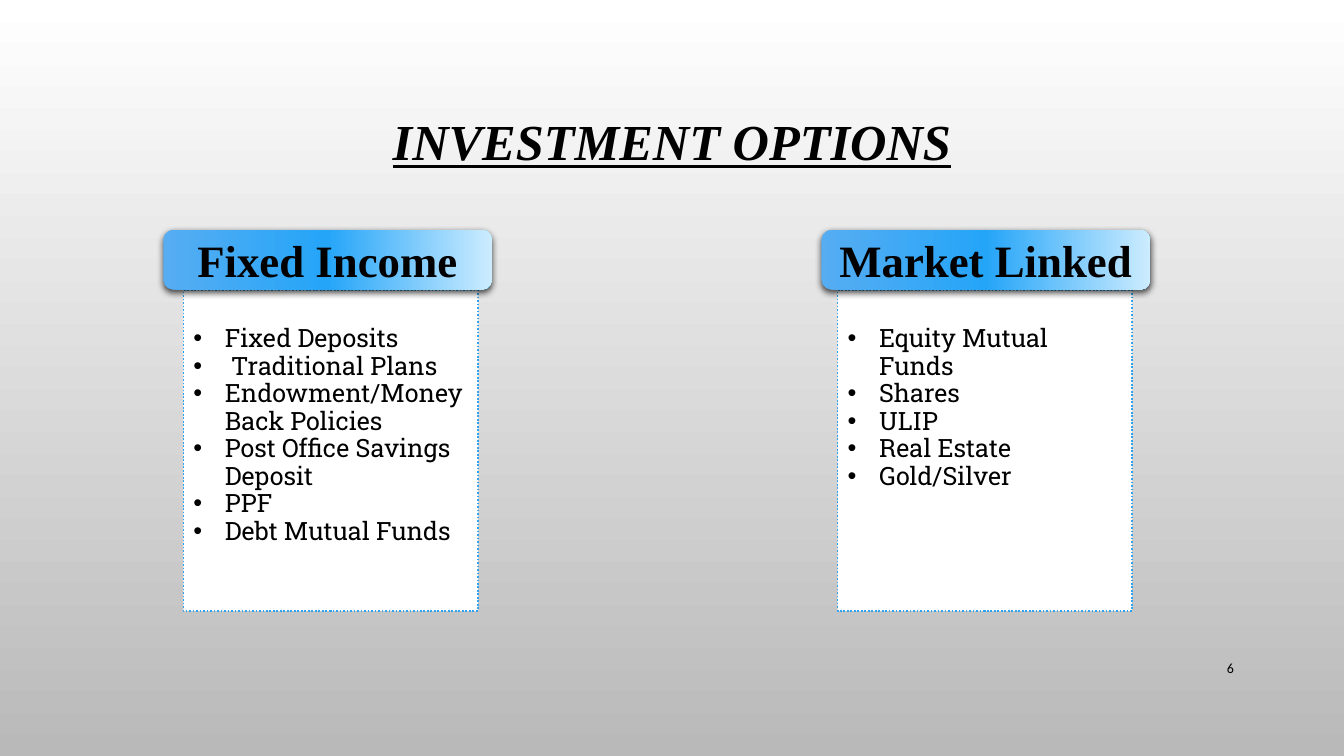
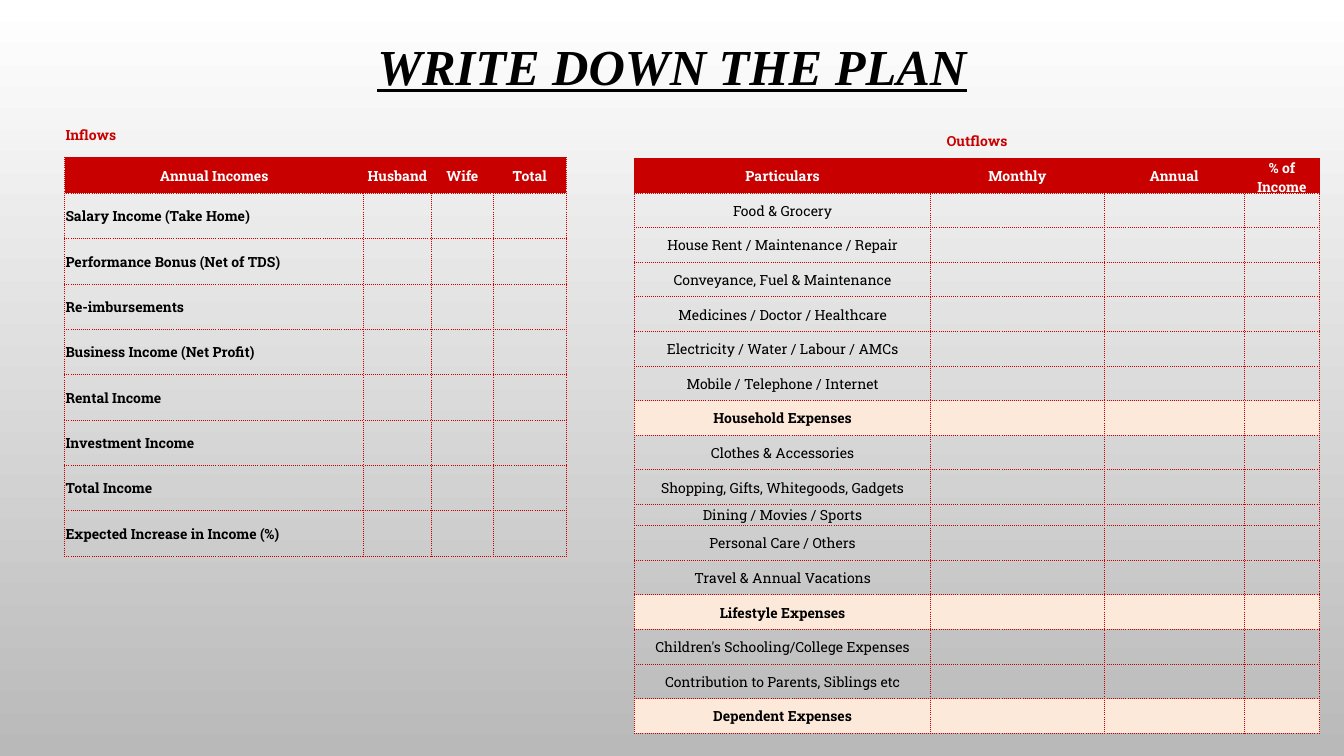
from copy import deepcopy

from lxml import etree
from pptx import Presentation
from pptx.dml.color import RGBColor
from pptx.enum.dml import MSO_LINE
from pptx.enum.shapes import MSO_SHAPE
from pptx.enum.text import MSO_ANCHOR, PP_ALIGN
from pptx.oxml.ns import qn
from pptx.util import Emu, Pt

SCALE = 3048
WIDE, HIGH = 4000, 2250
BLANK = 6

LEFT, CENTER, RIGHT = PP_ALIGN.LEFT, PP_ALIGN.CENTER, PP_ALIGN.RIGHT
TOP, MIDDLE = MSO_ANCHOR.TOP, MSO_ANCHOR.MIDDLE
RECT, ROUND = MSO_SHAPE.RECTANGLE, MSO_SHAPE.ROUNDED_RECTANGLE
DOTS = MSO_LINE.ROUND_DOT

BLACK = RGBColor(0x00, 0x00, 0x00)
WHITE = RGBColor(0xFF, 0xFF, 0xFF)
GREY = RGBColor(0xB9, 0xB9, 0xB9)
RED = RGBColor(0xC8, 0x00, 0x00)
PEACH = RGBColor(0xFD, 0xE9, 0xD9)
BLUE = RGBColor(0x2F, 0xA3, 0xEE)
BAND = [(0, RGBColor(0x56, 0xAD, 0xF2)), (0.5, RGBColor(0x25, 0xA5, 0xF8)),
        (1, RGBColor(0xCC, 0xEC, 0xFF))]

SERIF, SLAB, SANS = "Times New Roman", "Roboto Slab", "Calibri"

FIXED = ["Fixed Deposits", " Traditional Plans", "Endowment/Money Back Policies",
         "Post Office Savings Deposit", "PPF", "Debt Mutual Funds"]
MARKET = ["Equity Mutual Funds", "Shares", "ULIP", "Real Estate", "Gold/Silver"]

INCOME = ["Salary Income (Take Home)", "Performance Bonus (Net of TDS)",
          "Re-imbursements", "Business Income (Net Profit)", "Rental Income",
          "Investment Income", "Total Income", "Expected Increase in Income (%)"]
SPEND = ["Food & Grocery", "House Rent / Maintenance / Repair",
         "Conveyance, Fuel & Maintenance", "Medicines / Doctor / Healthcare",
         "Electricity / Water / Labour / AMCs", "Mobile / Telephone / Internet",
         "Household Expenses", "Clothes & Accessories",
         "Shopping, Gifts, Whitegoods, Gadgets", "Dining / Movies / Sports",
         "Personal Care / Others", "Travel & Annual Vacations",
         "Lifestyle Expenses", "Children's Schooling/College Expenses",
         "Contribution to Parents, Siblings etc", "Dependent Expenses"]
TOTALS = {"Household Expenses", "Lifestyle Expenses", "Dependent Expenses"}


def px(num):
    """Turn px into EMU."""
    return Emu(num * SCALE)


def write(para, text, size, font, color=BLACK, bold=False, align=LEFT):
    """Add one run to a paragraph and return it."""
    para.alignment = align
    run = para.add_run()
    run.text = text
    run.font.size = Pt(size)
    run.font.name = font
    run.font.bold = bold
    run.font.color.rgb = color
    return run


def label(slide, area, text, size, font, align, bold=False):
    """Add a text box with one centred line and return its run."""
    frame = slide.shapes.add_textbox(*map(px, area)).text_frame
    frame.word_wrap = True
    frame.vertical_anchor = MIDDLE
    return write(frame.paragraphs[0], text, size, font, bold=bold, align=align)


def title(slide, text, top, high):
    """Add the slide title."""
    run = label(slide, (300, top, WIDE - 600, high), text, 36, SERIF, CENTER, True)
    run.font.italic = True
    run.font.underline = True


def blend(fill, root, stops, angle):
    """Give a fill a gradient with the listed stops."""
    fill.gradient()
    fill.gradient_angle = angle
    marks = root.find(".//" + qn("a:gsLst"))
    for _ in stops[2:]:
        marks.insert(1, deepcopy(marks[0]))
    for mark, (place, color) in zip(fill.gradient_stops, stops):
        mark.position = place
        mark.color.rgb = color


def shade(shape):
    """Add a soft shadow below a shape."""
    shape.shadow.inherit = False
    effects = shape._element.spPr.find(qn("a:effectLst"))
    outer = etree.SubElement(effects, qn("a:outerShdw"), blurRad=str(Pt(5)),
                             dist=str(Pt(2)), dir="5400000", rotWithShape="0")
    color = etree.SubElement(outer, qn("a:srgbClr"), val=str(BLACK))
    etree.SubElement(color, qn("a:alpha"), val="69000")


def panel(slide, left, items):
    """Add a dotted white panel with a bullet list."""
    box = slide.shapes.add_shape(RECT, px(left), px(864), px(876), px(954))
    box.shadow.inherit = False
    box.fill.solid()
    box.fill.fore_color.rgb = WHITE
    box.line.color.rgb = BLUE
    box.line.width = Pt(1.25)
    box.line.dash_style = DOTS
    frame = box.text_frame
    frame.word_wrap = True
    frame.vertical_anchor = TOP
    frame.margin_top = px(105)
    for i, item in enumerate(items):
        para = frame.add_paragraph() if i else frame.paragraphs[0]
        props = para._p.get_or_add_pPr()
        props.set("marL", str(px(94)))
        props.set("indent", str(px(-94)))
        etree.SubElement(props, qn("a:buFont"), typeface="Arial")
        etree.SubElement(props, qn("a:buChar"), char="•")
        para.line_spacing = 0.91
        write(para, item, 18, SLAB)


def banner(slide, left, text):
    """Add a rounded gradient heading."""
    bar = slide.shapes.add_shape(ROUND, px(left), px(684), px(978), px(178))
    blend(bar.fill, bar._element.spPr, BAND, 0)
    bar.line.fill.background()
    shade(bar)
    frame = bar.text_frame
    frame.word_wrap = True
    frame.vertical_anchor = MIDDLE
    write(frame.paragraphs[0], text, 32, SERIF, bold=True, align=CENTER)


def border(cell, sides):
    """Draw dotted red lines on the given sides and none on the rest."""
    props = cell._tc.get_or_add_tcPr()
    for side in "LRTB":
        line = etree.SubElement(props, qn("a:ln" + side), w=str(Pt(0.5)))
        if side in sides:
            paint = etree.SubElement(line, qn("a:solidFill"))
            etree.SubElement(paint, qn("a:srgbClr"), val=str(RED))
            etree.SubElement(line, qn("a:prstDash"), val="dot")
        else:
            etree.SubElement(line, qn("a:noFill"))


def fit(cell, text, fill=None, color=BLACK, bold=True, align=CENTER, sides="LRTB"):
    """Style one table cell and set its text."""
    cell.margin_left = cell.margin_right = cell.margin_top = px(3)
    cell.margin_bottom = 0
    cell.vertical_anchor = MIDDLE
    border(cell, sides)
    if fill is None:
        cell.fill.background()
    else:
        cell.fill.solid()
        cell.fill.fore_color.rgb = fill
    para = cell.text_frame.paragraphs[0]
    if text:
        write(para, text, 10, SLAB, color, bold, align)
    else:
        etree.SubElement(para._p, qn("a:endParaRPr"), sz="1000")


def grid(slide, spot, cols, rows, name, heads, items, align, bold):
    """Add a budget table with a caption row, a head row and items."""
    size = (sum(cols), sum(rows))
    table = slide.shapes.add_table(len(rows), len(cols),
                                   *map(px, spot + size)).table
    table.first_row = table.horz_banding = False
    for col, width in zip(table.columns, cols):
        col.width = px(width)
    for row, height in zip(table.rows, rows):
        row.height = px(height)
    for i, head in enumerate(heads):
        fit(table.cell(0, i), "" if i else name, color=RED, align=align, sides="B")
        fit(table.cell(1, i), head, RED, WHITE)
    table.cell(0, 0).merge(table.cell(0, len(cols) - 1))
    for r, item in enumerate(items, 2):
        total = item in TOTALS
        for c in range(len(cols)):
            fit(table.cell(r, c), "" if c else item, PEACH if total else None,
                bold=bold or total, align=align)


def choices(deck):
    """Build the slide of investment options."""
    slide = deck.slides.add_slide(deck.slide_layouts[BLANK])
    panel(slide, 546, FIXED)
    panel(slide, 2493, MARKET)
    banner(slide, 486, "Fixed Income")
    banner(slide, 2445, "Market Linked")
    title(slide, "INVESTMENT OPTIONS", 204, 429)
    label(slide, (3450, 1929, 252, 120), "6", 10, SANS, RIGHT)


def budget(deck):
    """Build the slide of inflows and outflows."""
    slide = deck.slides.add_slide(deck.slide_layouts[BLANK])
    grid(slide, (192, 333), (890, 201, 186, 216), [135, 107] + [135] * 8,
         "Inflows", ("Annual Incomes", "Husband", "Wife", "Total"),
         INCOME, LEFT, True)
    title(slide, "WRITE DOWN THE PLAN", 21, 345)
    rows = [103] * 18
    rows[SPEND.index("Dining / Movies / Sports") + 2] = 63
    grid(slide, (1888, 368), (882, 516, 417, 225), rows,
         "Outflows", ("Particulars", "Monthly", "Annual", "% of Income"),
         SPEND, CENTER, False)


def main():
    """Build and save the deck."""
    deck = Presentation()
    deck.slide_width, deck.slide_height = px(WIDE), px(HIGH)
    master = deck.slide_master
    blend(master.background.fill, master._element, [(0, WHITE), (1, GREY)], 270)
    choices(deck)
    budget(deck)
    deck.save("out.pptx")


if __name__ == "__main__":
    main()
